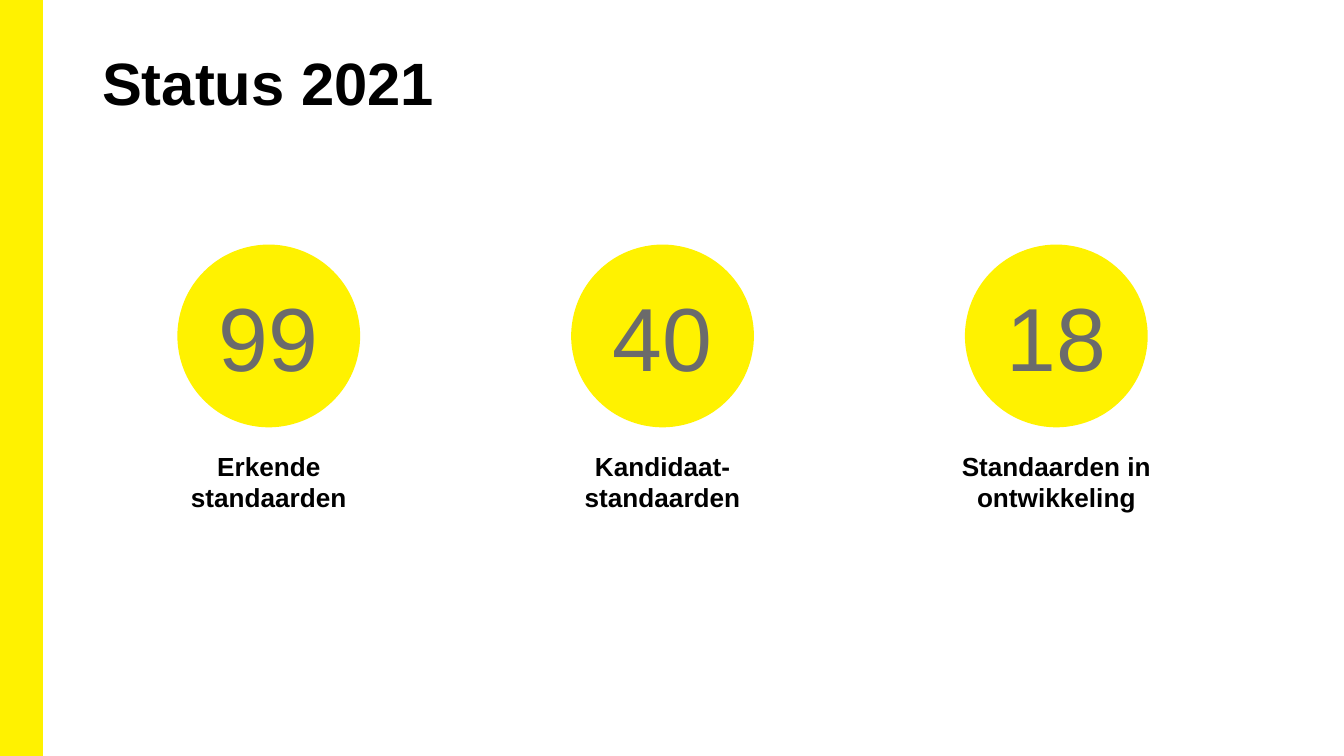
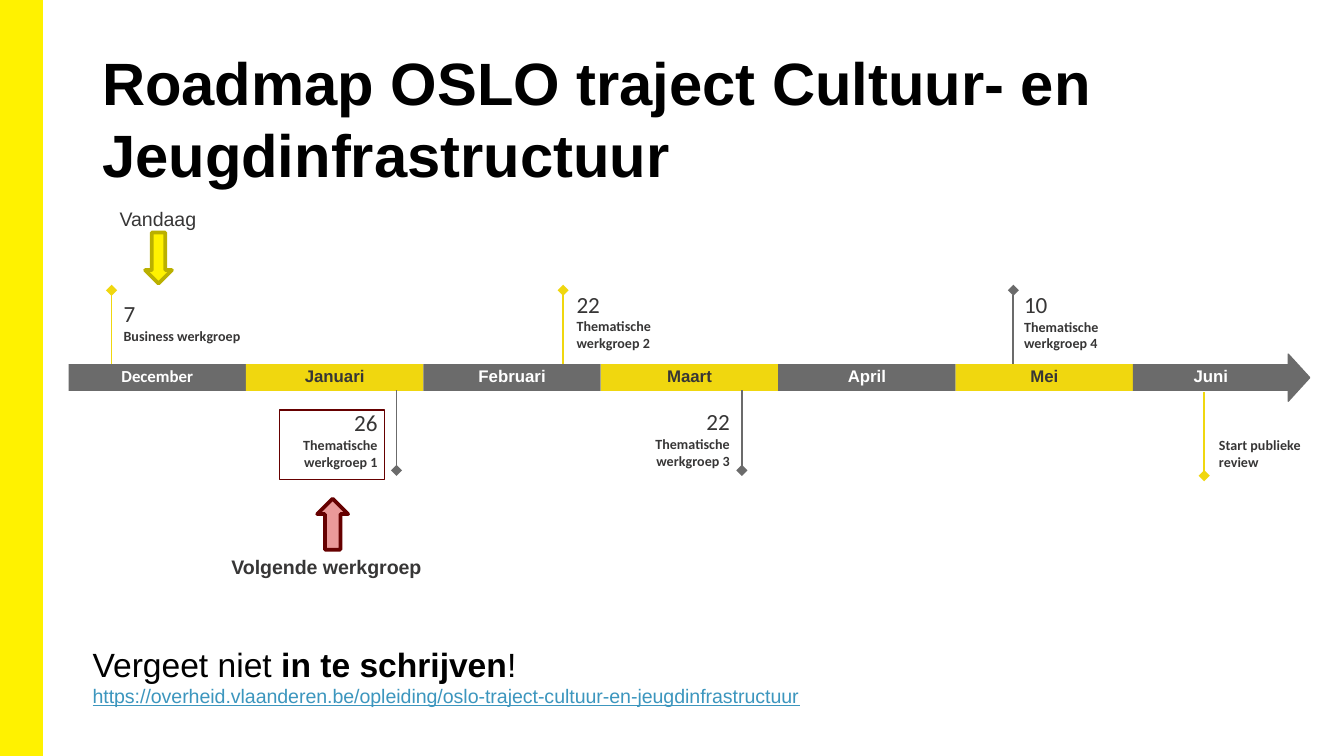
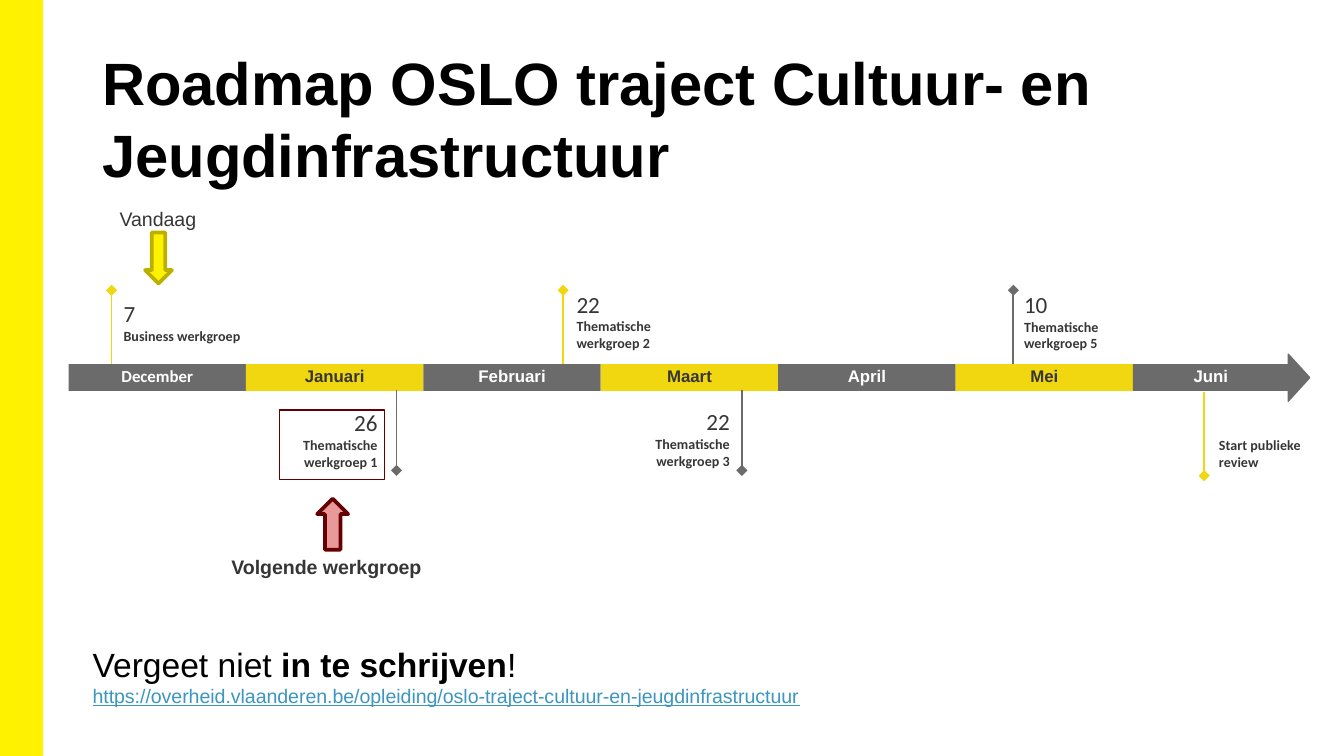
import pptx
import pptx.util
import pptx.dml.color
import pptx.enum.shapes
import pptx.enum.text
import pptx.oxml
import pptx.oxml.ns

RGB = pptx.dml.color.RGBColor
KIND = pptx.enum.shapes.MSO_SHAPE
ALIGN = pptx.enum.text.PP_ALIGN
ANCHOR = pptx.enum.text.MSO_ANCHOR
SIZE = pptx.enum.text.MSO_AUTO_SIZE

PX = 9144  # EMU per px, 100 px to the inch
WIDE = 1000 * PX
HIGH = WIDE * 9 // 16

YELLOW = RGB(0xFF, 0xF2, 0x00)
GOLD = RGB(0xF0, 0xD7, 0x0F)
OLIVE = RGB(0xBA, 0xB0, 0x00)
GRAY = RGB(0x6B, 0x6B, 0x6B)
DARK = RGB(0x37, 0x36, 0x36)
BLACK = RGB(0x00, 0x00, 0x00)
WHITE = RGB(0xFF, 0xFF, 0xFF)
BLUE = RGB(0x3C, 0x96, 0xBE)
WINE = RGB(0x66, 0x00, 0x00)
PINK = RGB(0xEA, 0x99, 0x99)


def style(size, color, bold=False, name="Arial", **more):
    return dict(size=pptx.util.Pt(size), color=color, bold=bold, name=name, **more)


HEAD = style(32, BLACK, True)
COUNT = style(48, GRAY)
LABEL = style(14, BLACK, True)
DAY = style(12.4, DARK, name="Calibri")
EVENT = style(7.5, DARK, True, "Calibri")
NOTE = style(10.5, DARK)
CALL = style(18, BLACK)
LINK = style(10.5, BLUE, underline=True)


def scale(*sizes):
    return [size * PX for size in sizes]


def write(frame, paras, inset=(0, 0, 0, 0), align=ALIGN.LEFT, **form):
    """Fill a frame; each paragraph is a list of (text, style) runs."""
    sides = ("margin_left", "margin_top", "margin_right", "margin_bottom")
    form = dict(word_wrap=True, auto_size=SIZE.NONE, vertical_anchor=ANCHOR.TOP,
                **dict(zip(sides, scale(*inset)))) | form
    for key, value in form.items():
        setattr(frame, key, value)
    for i, runs in enumerate(paras):
        para = frame.add_paragraph() if i else frame.paragraphs[0]
        para.alignment = align
        for words, look in runs:
            run = para.add_run()
            run.text = words
            for key, value in look.items():
                if key == "color":
                    run.font.color.rgb = value
                else:
                    setattr(run.font, key, value)


def shape(slide, kind, box, fill=None, line=None, width=1, turn=0):
    item = slide.shapes.add_shape(kind, *scale(*box))
    item.shadow.inherit = False
    item.rotation = turn
    for part, color in ((item.fill, fill), (item.line.fill, line)):
        if color is None:
            part.background()
        else:
            part.solid()
            part.fore_color.rgb = color
    if line is not None:
        item.line.width = pptx.util.Pt(width)
    return item


def text(slide, box, paras, **form):
    write(slide.shapes.add_textbox(*scale(*box)).text_frame, paras, **form)


def pin(slide, x, tip, base, color):
    """Draw a marker line with a diamond at its tip."""
    line = slide.shapes.add_connector(
        pptx.enum.shapes.MSO_CONNECTOR.STRAIGHT, *scale(x, tip, x, base))
    line.line.color.rgb = color
    line.line.width = pptx.util.Pt(1)
    space = pptx.oxml.ns.nsdecls("a")
    line.line._get_or_add_ln().append(
        pptx.oxml.parse_xml(f'<a:headEnd {space} type="diamond"/>'))
    line._element.spPr.append(pptx.oxml.parse_xml(f"<a:effectLst {space}/>"))


def band(deck, slide):
    """Draw the side band and move it to the master."""
    item = shape(slide, KIND.RECTANGLE, (0, 0, 31, 562), YELLOW, YELLOW)
    item.height = HIGH
    deck.slide_master.shapes.element.insert(2, item._element)


def page(deck, title):
    slide = deck.slides.add_slide(deck.slide_layouts[5])
    head = slide.shapes.title
    head.left, head.top, head.width, head.height = scale(69, 30, 862, 81)
    write(head.text_frame, [[(title, HEAD)]], (7, 4, 7, 4))
    return slide


def counts(slide, left, top):
    """Row of circles with a label under each."""
    size, step, wide = 136, 293, 162
    items = (("99", "Erkende standaarden"), ("40", "Kandidaat- standaarden"),
             ("18", "Standaarden in ontwikkeling"))
    for i, (count, label) in enumerate(items):
        x = left + i * step
        disc = shape(slide, KIND.OVAL, (x, top, size, size), YELLOW)
        write(disc.text_frame, [[(count, COUNT)]], (10, 5, 10, 5), ALIGN.CENTER,
              vertical_anchor=ANCHOR.MIDDLE)
        text(slide, (x - (wide - size) // 2, top + 148, wide, 57), [[(label, LABEL)]],
             inset=(10, 5, 10, 5), align=ALIGN.CENTER,
             auto_size=SIZE.SHAPE_TO_FIT_TEXT)


def months(slide, left, top):
    """Month bar that ends in an arrow head."""
    step, high = 132, 20
    names = ("December", "Januari", "Februari", "Maart", "April", "Mei", "Juni")
    shape(slide, KIND.ISOSCELES_TRIANGLE, (left + 898, top + 2, 35, 16),
          GRAY, GRAY, 0.75, 90)
    for i, name in enumerate(names):
        wide = 116 if name == names[-1] else step
        fill, ink = ((GRAY, WHITE), (GOLD, DARK))[i % 2]
        cell = shape(slide, KIND.RECTANGLE, (left + i * step, top, wide, high), fill)
        font = "Arial" if i else "Calibri"
        write(cell.text_frame, [[(name, style(9, ink, True, font))]], (4, 4, 4, 6),
              ALIGN.CENTER, vertical_anchor=ANCHOR.MIDDLE)


def events(slide, left, top, last):
    """Pins and dated labels around the month bar."""
    pins = ((32, -55, 0, GOLD), (368, -55, 0, GOLD), (703, -55, 0, GRAY),
            (244, 79, 19, GRAY), (501, 79, 19, GRAY), (845, 83, 21, GOLD))
    for x, tip, base, color in pins:
        pin(slide, left + x, top + tip, top + base, color)

    low, high = ANCHOR.BOTTOM, ANCHOR.TOP
    dates = (((41, -67, 100, 52), "7", "Business werkgroep", low, ALIGN.LEFT),
             ((130, 33, 100, 66), "26", "Thematische werkgroep 1", high, ALIGN.RIGHT),
             ((378, -55, 100, 66), "22", "Thematische werkgroep 2", high, ALIGN.LEFT),
             ((397, 41, 95, 37), "22", "Thematische werkgroep 3", low, ALIGN.RIGHT),
             ((711, -55, 100, 42), "10", last, high, ALIGN.LEFT))
    for (x, y, w, h), day, name, anchor, align in dates:
        text(slide, (left + x, top + y, w, h), [[(day, DAY)], [(name, EVENT)]],
             align=align, vertical_anchor=anchor)
    text(slide, (left + 856, top + 31, 93, 42),
         [[("Start publieke", EVENT)], [("review", EVENT)]], inset=(0, 23, 0, 0))


def marks(slide, left, top):
    """Arrows for today and for the next meeting."""
    shape(slide, KIND.DOWN_ARROW, (left + 57, top - 98, 20, 38), YELLOW, OLIVE, 2)
    text(slide, (left + 6, top - 117, 121, 26), [[("Vandaag", NOTE)]],
         align=ALIGN.CENTER)
    shape(slide, KIND.RECTANGLE, (left + 157, top + 34, 78, 52), None, WINE, 0.75)
    shape(slide, KIND.DOWN_ARROW, (left + 185, top + 100, 23, 38), PINK, WINE, 2, 180)
    text(slide, (left + 120, top + 138, 144, 26),
         [[("Volgende werkgroep", NOTE | {"bold": True})]],
         align=ALIGN.CENTER, vertical_anchor=ANCHOR.MIDDLE)


def signup(slide, left, top):
    """Call to register, with its web address."""
    shape(slide, KIND.RECTANGLE, (left + 6, top - 16, 181, 100), WHITE, WHITE, 2)
    url = ("https://overheid.vlaanderen.be/opleiding/"
           "oslo-traject-cultuur-en-jeugdinfrastructuur")
    text(slide, (left, top, 562, 68),
         [[("Vergeet niet ", CALL), ("in te schrijven", CALL | {"bold": True}),
           ("!", CALL)], [(url, LINK)]],
         inset=(10, 10, 10, 10), auto_size=SIZE.SHAPE_TO_FIT_TEXT)


def roadmap(deck, last):
    slide = page(deck, "Roadmap OSLO traject Cultuur- en Jeugdinfrastructuur")
    left, top = 51, 271
    signup(slide, 59, 469)
    months(slide, left, top)
    events(slide, left, top, last)
    marks(slide, left, top)


def main():
    deck = pptx.Presentation()
    deck.slide_width, deck.slide_height = WIDE, HIGH
    status = page(deck, "Status 2021")
    band(deck, status)
    counts(status, 132, 182)
    for number in (4, 5):
        roadmap(deck, f"Thematische werkgroep {number}")
    deck.save("out.pptx")


if __name__ == "__main__":
    main()
